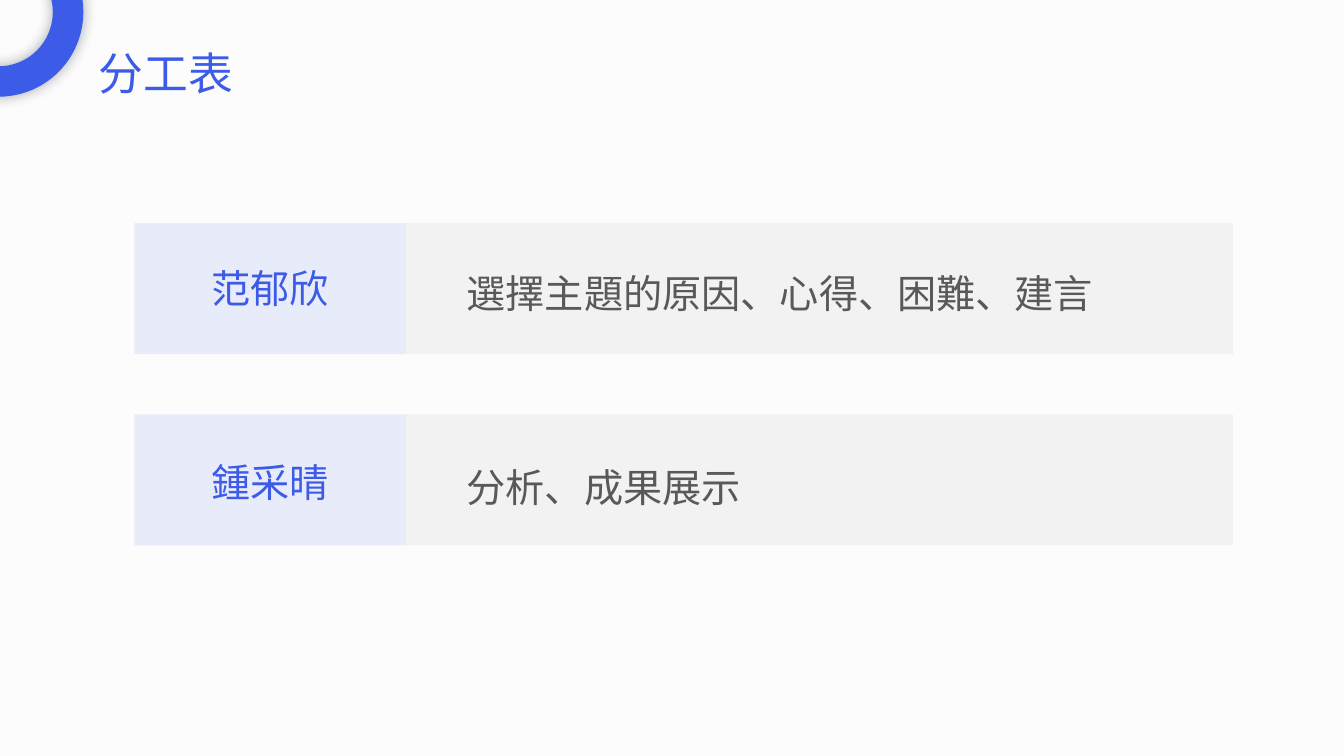
from dataclasses import dataclass

from lxml import etree
from pptx import Presentation
from pptx import util as u
from pptx.dml.color import RGBColor
from pptx.enum import shapes, text
from pptx.oxml.ns import qn


@dataclass(frozen=True)
class Theme:
    font: str = "Noto Sans CJK SC"
    back: str = "FCFCFC"
    blue: str = "3C5CE8"
    pale: str = "E8EBFA"
    grey: str = "F2F2F2"
    ink: str = "595959"
    shade: str = "222A35"
    head: int = 32
    body: int = 28


LOOK = Theme()
WIDE, HIGH = u.Inches(13.33), u.Inches(7.5)
TOP, STEP, TALL = 29.5, 25.3, 17.35
SHIFT = 0.4
NAME, TASK = (10, 20.2), (30.1, 61.65)
ROWS = [
    ("范郁欣", "選擇主題的原因、心得、困難、建言"),
    ("鍾采晴", "分析、成果展示"),
]


def area(left, top, width, height):
    return [int(size * share / 100) for size, share in
            zip((WIDE, HIGH, WIDE, HIGH), (left, top, width, height))]


def paint(fill, color):
    fill.solid()
    fill.fore_color.rgb = RGBColor.from_string(color)


def block(slide, kind, place, color):
    shape = slide.shapes.add_shape(kind, *area(*place))
    shape.shadow.inherit = False
    paint(shape.fill, color)
    shape.line.fill.background()
    return shape


def write(shape, words, size, color, pad, align=text.PP_ALIGN.LEFT,
          anchor=text.MSO_ANCHOR.TOP, space=1.0):
    frame = shape.text_frame
    frame.word_wrap = True
    frame.auto_size = text.MSO_AUTO_SIZE.NONE
    frame.vertical_anchor = anchor
    frame.margin_left = frame.margin_right = u.Inches(pad[0])
    frame.margin_top = frame.margin_bottom = u.Inches(pad[1])
    para = frame.paragraphs[0]
    para.alignment = align
    para.line_spacing = space
    run = para.add_run()
    run.text = words
    run.font.size = u.Pt(size)
    run.font.name = LOOK.font
    run.font.color.rgb = RGBColor.from_string(color)
    etree.SubElement(run.font._element, qn("a:ea"), typeface=LOOK.font)


def label(slide, place, words, color, **form):
    box = slide.shapes.add_textbox(*area(*place))
    write(box, words, LOOK.body, color, (0.27, 0.13), **form)


def ring(slide):
    shape = block(slide, shapes.MSO_SHAPE.DONUT, (-6.4, -9.6, 12.6, 22.4), LOOK.blue)
    shape.adjustments[0] = 0.18
    effect = shape._element.spPr.find(qn("a:effectLst"))
    glow = etree.SubElement(effect, qn("a:outerShdw"), blurRad=str(u.Pt(10)),
                            dist="0", dir="0", algn="ctr", rotWithShape="0")
    tint = etree.SubElement(glow, qn("a:srgbClr"), val=LOOK.shade)
    etree.SubElement(tint, qn("a:alpha"), val="40000")


def title(slide, words):
    head = slide.shapes.title
    head.left, head.top, head.width, head.height = area(6.6, 5.33, 34.65, 8.53)
    write(head, words, LOOK.head, LOOK.blue, (0.1, 0.05))


def row(slide, order, name, task):
    top = TOP + order * STEP
    for (left, width), color in ((TASK, LOOK.grey), (NAME, LOOK.pale)):
        block(slide, shapes.MSO_SHAPE.RECTANGLE, (left, top, width, TALL), color)
    base = top + order * SHIFT
    label(slide, (NAME[0], base + 3.6, NAME[1], 9.87), name, LOOK.blue,
          align=text.PP_ALIGN.CENTER, anchor=text.MSO_ANCHOR.MIDDLE)
    label(slide, (32.7, base + 1.3, 60.7, 14.4), task, LOOK.ink, space=1.5)


def main():
    deck = Presentation()
    deck.slide_width, deck.slide_height = WIDE, HIGH
    slide = deck.slides.add_slide(deck.slide_layouts[5])
    paint(slide.background.fill, LOOK.back)
    for order, (name, task) in enumerate(ROWS):
        row(slide, order, name, task)
    ring(slide)
    title(slide, "分工表")
    deck.save("out.pptx")


if __name__ == "__main__":
    main()
